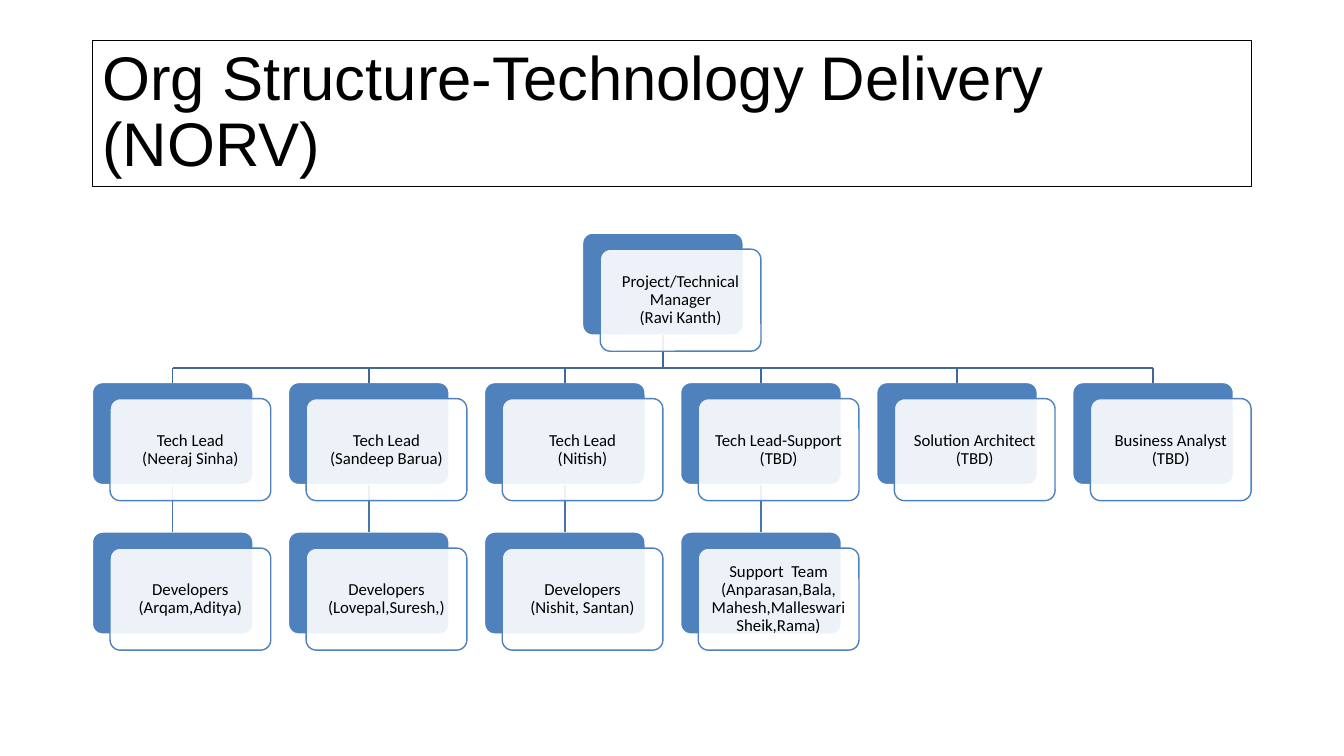
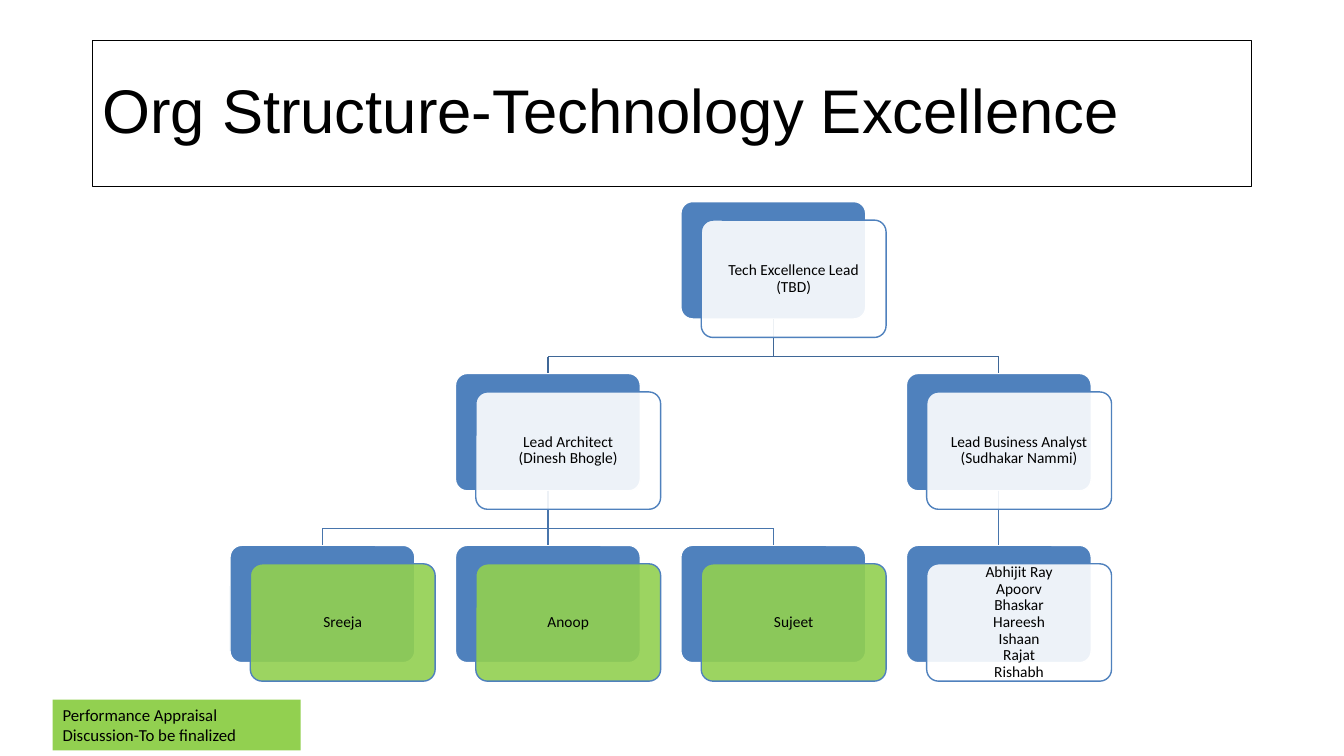
"""Build two organisation chart slides from trees of roles."""
from dataclasses import dataclass, field

from pptx import Presentation
from pptx.dml.color import RGBColor
from pptx.enum.shapes import MSO_CONNECTOR, MSO_SHAPE
from pptx.enum.text import MSO_ANCHOR, MSO_AUTO_SIZE, PP_ALIGN
from pptx.oxml.ns import qn
from pptx.util import Pt
from lxml.etree import SubElement

COLORS = {
    "black": "000000",
    "white": "FFFFFF",
    "blue": "4F81BD",
    "green": "92D050",
    "root line": "3F6797",
    "lower line": "4875AC",
}
HEADING_FONT, BODY_FONT = "Arial", "Calibri"
TITLE_BOX = (66, 28.8, 828, 104.4)
NOTE_BOX = (37.6, 499.8, 177.2, 36.2)

HEIGHT, COLUMN_STEP, ROW_STEP = 0.635, 1.22, 0.93
CARD_RIGHT, CARD_DOWN = 0.11, 0.1
BUS_SHARE = 0.69


@dataclass
class Role:
    lines: list
    reports: list = field(default_factory=list)
    fill: str = "white"
    column: float = 0
    row: int = 0
    back: object = None


DELIVERY = Role(["Project/Technical Manager", "(Ravi Kanth)"], [
    Role(["Tech Lead", "(Neeraj Sinha)"], [Role(["Developers", "(Arqam,Aditya)"])]),
    Role(["Tech Lead", "(Sandeep Barua)"], [Role(["Developers", "(Lovepal,Suresh,)"])]),
    Role(["Tech Lead", "(Nitish)"], [Role(["Developers", "(Nishit, Santan)"])]),
    Role(["Tech Lead-Support", "(TBD)"], [
        Role(["Support  Team", "(Anparasan,Bala,", "Mahesh,Malleswari", "Sheik,Rama)"]),
    ]),
    Role(["Solution Architect", "(TBD)"]),
    Role(["Business Analyst", "(TBD)"]),
])
EXCELLENCE = Role(["Tech Excellence Lead", "(TBD)"], [
    Role(["Lead Architect", "(Dinesh Bhogle)"], [
        Role([name], fill="green") for name in ("Sreeja", "Anoop", "Sujeet")
    ]),
    Role(["Lead Business Analyst", "(Sudhakar Nammi)"], [
        Role(["Abhijit Ray", "Apoorv", "Bhaskar", "Hareesh", "Ishaan", "Rajat", "Rishabh"]),
    ]),
])
SLIDES = [
    {"title": "Org Structure-Technology Delivery (NORV)", "root": DELIVERY,
     "left": 66, "top": 166.5, "width": 114.8, "size": 12},
    {"title": "Org Structure-Technology Excellence", "root": EXCELLENCE,
     "left": 164.3, "top": 144, "width": 132, "size": 11,
     "note": "Performance Appraisal Discussion-To be finalized"},
]


def color(name):
    return RGBColor.from_string(COLORS[name])


def format_text(shape, font, size, align, spacing=None):
    for paragraph in shape.text_frame.paragraphs:
        paragraph.alignment = align
        paragraph.line_spacing = spacing
        for run in paragraph.runs:
            run.font.name, run.font.size = font, Pt(size)
            run.font.color.rgb = color("black")


def add_title(slide, text):
    title = slide.shapes.title
    title.left, title.top, title.width, title.height = map(Pt, TITLE_BOX)
    title.line.color.rgb, title.line.width = color("black"), Pt(0.75)
    frame = title.text_frame
    frame.text = text
    frame.auto_size, frame.vertical_anchor = MSO_AUTO_SIZE.NONE, MSO_ANCHOR.MIDDLE
    format_text(title, HEADING_FONT, 44, PP_ALIGN.LEFT, 0.9)


def add_box(slide, box, fill, line=None, preset=MSO_SHAPE.ROUNDED_RECTANGLE):
    shape = slide.shapes.add_shape(preset, *map(Pt, box))
    shape.shadow.inherit = False
    shape.fill.solid()
    shape.fill.fore_color.rgb = color(fill)
    if line:
        shape.adjustments[0] = 0.1
        shape.line.color.rgb, shape.line.width = color(line), Pt(1)
    else:
        shape.line.fill.background()
    return shape


def add_card(slide, box, role, size):
    card = add_box(slide, box, role.fill, "blue")
    fill_color = card.fill._xPr.find(qn("a:solidFill"))[0]
    SubElement(fill_color, qn("a:alpha")).set("val", "90000")
    frame = card.text_frame
    frame.text = "\v".join(role.lines)
    frame.word_wrap, frame.vertical_anchor = True, MSO_ANCHOR.MIDDLE
    frame.margin_left = frame.margin_right = Pt(3.6)
    frame.margin_top = frame.margin_bottom = Pt(3.6)
    format_text(card, BODY_FONT, size, PP_ALIGN.CENTER, 0.9)


def add_line(slide, start, end, line_color, parent=None, child=None):
    line = slide.shapes.add_connector(MSO_CONNECTOR.STRAIGHT, *start, *end)
    if parent:
        line.begin_connect(parent, 2)
    if child:
        line.end_connect(child, 0)
    line.line.color.rgb, line.line.width = color(line_color), Pt(1)
    SubElement(line._element.spPr, qn("a:effectLst"))


def link_reports(slide, role):
    parent, children = role.back, [report.back for report in role.reports]
    if not children:
        return
    line_color = "lower line" if role.row else "root line"
    middle = parent.left + parent.width // 2
    bottom = parent.top + parent.height
    top = children[0].top
    if len(children) == 1:
        add_line(slide, (middle, bottom), (middle, top), line_color, parent, children[0])
        return
    bus = bottom + int((top - bottom) * BUS_SHARE)
    centers = [child.left + child.width // 2 for child in children]
    add_line(slide, (middle, bottom), (middle, bus), line_color, parent=parent)
    add_line(slide, (centers[0], bus), (centers[-1], bus), line_color)
    for center, child in zip(centers, children):
        add_line(slide, (center, bus), (center, top), line_color, child=child)


def place(role, row=0, next_column=0):
    """Centre each role over its reports and return the next free column."""
    role.row, role.column = row, next_column
    if not role.reports:
        return next_column + 1
    for report in role.reports:
        next_column = place(report, row + 1, next_column)
    role.column = (role.reports[0].column + role.reports[-1].column) / 2
    return next_column


def flatten(role):
    return [role] + [below for report in role.reports for below in flatten(report)]


def add_chart_tree(slide, root, left, top, width, size):
    place(root)
    roles = flatten(root)

    def box(role, right=0, down=0):
        return (left + width * (role.column * COLUMN_STEP + right),
                top + width * (role.row * ROW_STEP + down), width, width * HEIGHT)

    for role in roles:
        role.back = add_box(slide, box(role), "blue", "white")
    for role in roles:
        link_reports(slide, role)
    for role in roles:
        add_card(slide, box(role, CARD_RIGHT, CARD_DOWN), role, size)


def add_note(slide, text):
    note = add_box(slide, NOTE_BOX, "green", preset=MSO_SHAPE.RECTANGLE)
    note.text_frame.text = text
    note.text_frame.word_wrap = True
    note.text_frame.vertical_anchor = MSO_ANCHOR.TOP
    format_text(note, BODY_FONT, 12, PP_ALIGN.LEFT)


def main():
    presentation = Presentation()
    presentation.slide_width, presentation.slide_height = Pt(960), Pt(540)
    for content in SLIDES:
        slide = presentation.slides.add_slide(presentation.slide_layouts[5])
        add_title(slide, content["title"])
        add_chart_tree(slide, content["root"], content["left"], content["top"],
                       content["width"], content["size"])
        if "note" in content:
            add_note(slide, content["note"])
    presentation.save("out.pptx")


if __name__ == "__main__":
    main()
